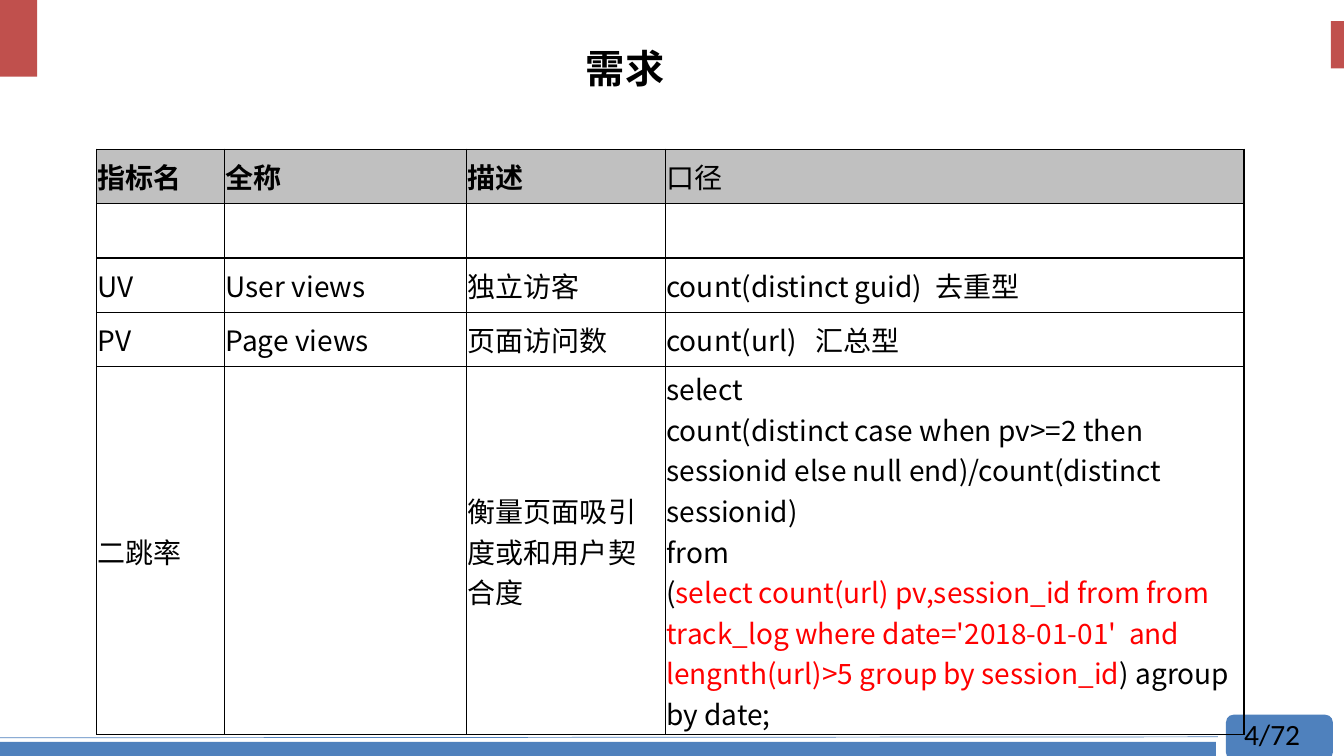
from dataclasses import dataclass

from lxml import etree
from pptx import Presentation
from pptx.dml.color import RGBColor
from pptx.enum.shapes import MSO_CONNECTOR, MSO_SHAPE
from pptx.enum.text import MSO_ANCHOR, PP_ALIGN
from pptx.oxml.ns import qn
from pptx.util import Inches, Pt

RECTANGLE = MSO_SHAPE.RECTANGLE
BADGE = MSO_SHAPE.FLOWCHART_ALTERNATE_PROCESS
STRAIGHT = MSO_CONNECTOR.STRAIGHT
MIDDLE = MSO_ANCHOR.MIDDLE
CENTER = PP_ALIGN.CENTER

COLORS = {
    "red": "C0504D",
    "blue": "4F81BD",
    "header": "C0C0C0",
    "text": "000000",
    "highlight": "FF0000",
}
CJK_FONT = "Noto Sans CJK SC"
NUMBER_FONT = "Calibri"


@dataclass(frozen=True)
class Block:
    left: float
    top: float
    width: float
    height: float
    color: str
    preset: int = RECTANGLE


@dataclass(frozen=True)
class Label:
    text: str
    left: float
    top: float
    width: float
    height: float
    size: float
    font: str
    bold: bool = False
    centered: bool = False


BLOCKS = [
    Block(0, 0, 0.37, 0.76, "red"),
    Block(13.2, 0.21, 0.13, 0.47, "red"),
    Block(0, 7.36, 12.06, 0.19, "blue"),
    Block(12.16, 7.09, 1.06, 0.45, "blue", BADGE),
]
LABELS = [
    Label("4/72", 12.24, 7.05, 1.02, 0.45, 21, NUMBER_FONT),
    Label("需求", 1.7, 0.29, 9, 0.82, 28, CJK_FONT, bold=True, centered=True),
]

COLUMN_WIDTHS = [1.27, 2.4, 1.97, 5.74]
ROW_HEIGHTS = [0.54, 0.54, 0.54, 0.54, 3.65]
SUBQUERY = (
    "select count(url) pv,session_id from from track_log "
    "where date='2018-01-01'  and lengnth(url)>5 group by session_id"
)
BOUNCE_QUERY = "\n".join([
    "select",
    "count(distinct case when pv>=2 then sessionid else null end)"
    "/count(distinct sessionid)",
    "from",
    "(",
])
ROWS = [
    ["指标名", "全称", "描述", "口径"],
    ["", "", "", ""],
    ["UV", "User views", "独立访客", "count(distinct guid)  去重型"],
    ["PV", "Page views", "页面访问数", "count(url)   汇总型"],
    ["二跳率", "", "衡量页面吸引度或和用户契合度", BOUNCE_QUERY],
]


def color(name: str) -> RGBColor:
    return RGBColor.from_string(COLORS[name])


def format_run(run, size: float, font: str, bold: bool = False, color_name: str = "text") -> None:
    run.font.size = Pt(size)
    run.font.bold = bold
    run.font.color.rgb = color(color_name)
    run.font.name = font
    etree.SubElement(run.font._element, qn("a:ea"), typeface=font)


def add_block(slide, block: Block) -> None:
    shape = slide.shapes.add_shape(
        block.preset, Inches(block.left), Inches(block.top),
        Inches(block.width), Inches(block.height))
    shape.shadow.inherit = False
    shape.fill.solid()
    shape.fill.fore_color.rgb = color(block.color)
    shape.line.fill.background()


def add_footer_line(slide) -> None:
    line = slide.shapes.add_connector(
        STRAIGHT, Inches(-0.03), Inches(7.32), Inches(12.08), Inches(7.31))
    line.line.color.rgb = color("blue")
    line.line.width = Pt(0.5)
    etree.SubElement(line._element.spPr, qn("a:effectLst"))


def add_label(slide, label: Label) -> None:
    box = slide.shapes.add_textbox(
        Inches(label.left), Inches(label.top), Inches(label.width), Inches(label.height))
    frame = box.text_frame
    frame.word_wrap = True
    frame.text = label.text
    paragraph = frame.paragraphs[0]
    if label.centered:
        frame.vertical_anchor = MIDDLE
        paragraph.alignment = CENTER
        paragraph.line_spacing = 0.9
    format_run(paragraph.runs[0], label.size, label.font, label.bold)


def add_borders(cell) -> None:
    properties = cell._tc.get_or_add_tcPr()
    for position, side in enumerate(("lnL", "lnR", "lnT", "lnB")):
        border = etree.Element(qn(f"a:{side}"), w=str(Pt(1)))
        fill = etree.SubElement(border, qn("a:solidFill"))
        etree.SubElement(fill, qn("a:srgbClr"), val=COLORS["text"])
        properties.insert(position, border)


def fill_cell(cell, text: str, is_header: bool, bold: bool) -> None:
    cell.vertical_anchor = MIDDLE
    cell.margin_left = cell.margin_top = cell.margin_bottom = Inches(0.01)
    cell.margin_right = Inches(0.05)
    if is_header:
        cell.fill.solid()
        cell.fill.fore_color.rgb = color("header")
    else:
        cell.fill.background()
    add_borders(cell)
    cell.text_frame.text = text
    for paragraph in cell.text_frame.paragraphs:
        for run in paragraph.runs:
            format_run(run, 20, CJK_FONT, bold)


def add_metrics_table(slide) -> None:
    table = slide.shapes.add_table(
        len(ROWS), len(COLUMN_WIDTHS), Inches(0.96), Inches(1.48),
        Inches(sum(COLUMN_WIDTHS)), Inches(sum(ROW_HEIGHTS))).table
    table.first_row = False
    table.horz_banding = False
    for column, width in zip(table.columns, COLUMN_WIDTHS):
        column.width = Inches(width)
    for row, height in zip(table.rows, ROW_HEIGHTS):
        row.height = Inches(height)
    for row_index, texts in enumerate(ROWS):
        for column_index, text in enumerate(texts):
            is_header = row_index == 0
            bold = is_header and column_index < len(texts) - 1
            fill_cell(table.cell(row_index, column_index), text, is_header, bold)

    # Highlighted subquery closing the last cell
    paragraph = table.cell(len(ROWS) - 1, len(COLUMN_WIDTHS) - 1).text_frame.paragraphs[-1]
    for text, color_name in ((SUBQUERY, "highlight"), (") agroup by date;", "text")):
        run = paragraph.add_run()
        run.text = text
        format_run(run, 20, CJK_FONT, color_name=color_name)


def main() -> None:
    presentation = Presentation()
    presentation.slide_width = Inches(13.33)
    presentation.slide_height = Inches(7.5)
    slide = presentation.slides.add_slide(presentation.slide_layouts[6])

    # Corner marks and footer
    for block in BLOCKS:
        add_block(slide, block)
    add_footer_line(slide)

    # Page number and title
    for label in LABELS:
        add_label(slide, label)

    # Metric definitions
    add_metrics_table(slide)
    presentation.save("out.pptx")


if __name__ == "__main__":
    main()
